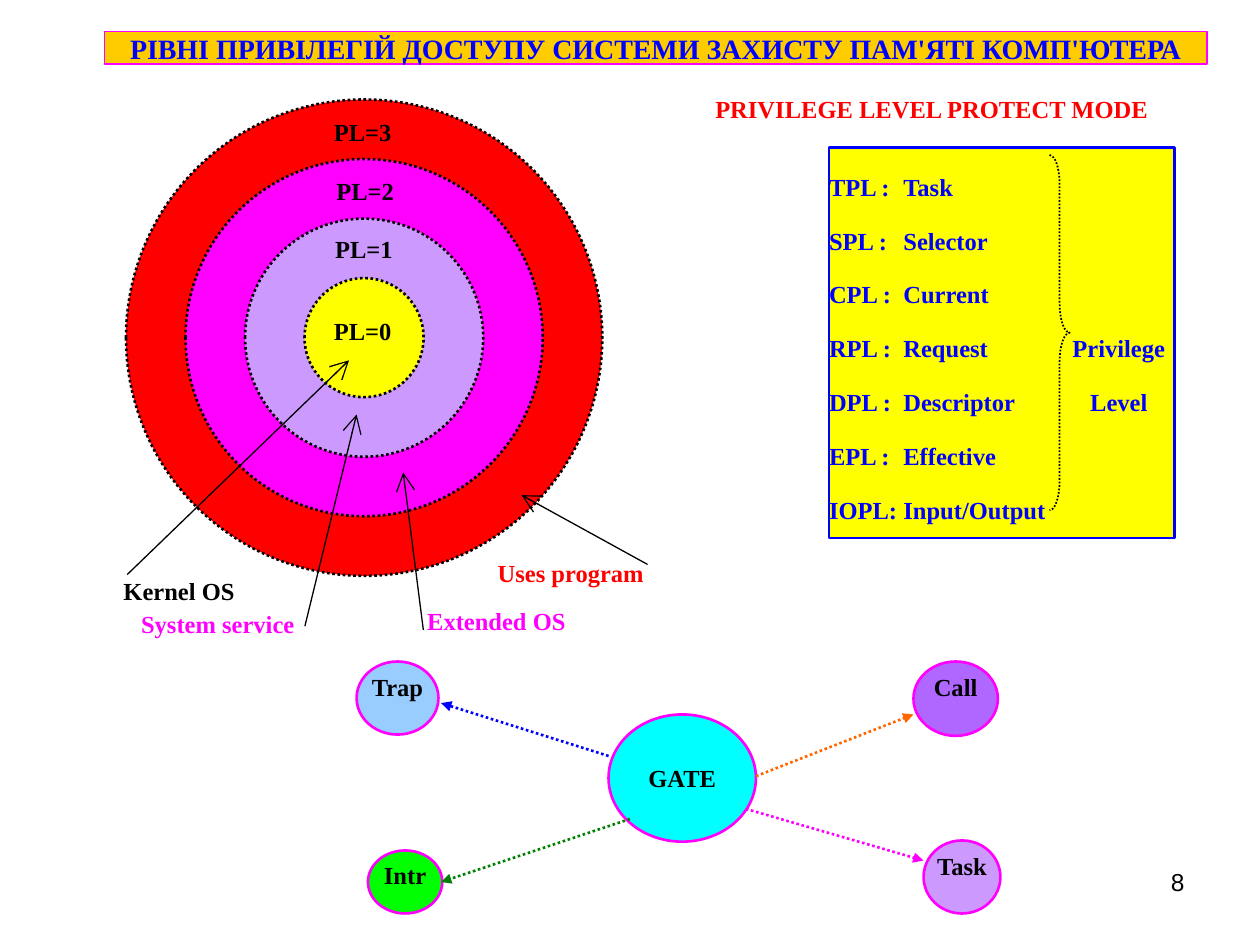
from pptx import Presentation
from pptx.dml.color import RGBColor
from pptx.enum.dml import MSO_LINE
from pptx.enum.shapes import MSO_CONNECTOR, MSO_SHAPE
from pptx.enum.text import MSO_ANCHOR, PP_ALIGN
from pptx.oxml.ns import qn
from pptx.util import Inches, Pt
from lxml.etree import SubElement

INK = {
    "black": "000000", "red": "FF0000", "blue": "0000FF", "pink": "FF00FF",
    "yellow": "FFFF00", "gold": "FFCC00", "lilac": "CC99FF", "violet": "AF67FF",
    "cyan": "00FFFF", "lime": "00FF00", "sky": "99CCFF", "orange": "FF6600",
    "green": "008000",
}
SERIF = "Times New Roman"

# Content
TITLE = "РІВНІ ПРИВІЛЕГІЙ ДОСТУПУ СИСТЕМИ ЗАХИСТУ ПАМ'ЯТІ КОМП'ЮТЕРА"
HEAD = "PRIVILEGE LEVEL PROTECT MODE"
LEVELS = [  # code, name, word beside the brace
    ("TPL :", "Task", ""), ("SPL :", "Selector", ""), ("CPL :", "Current", ""),
    ("RPL :", "Request", "Privilege"), ("DPL :", "Descriptor", "Level"),
    ("EPL :", "Effective", ""), ("IOPL:", "Input/Output", ""),
]
RINGS = [  # label, fill, label left and top; outermost first
    ("PL=3", "red", 2.65, 0.93), ("PL=2", "pink", 2.67, 1.4),
    ("PL=1", "lilac", 2.66, 1.86), ("PL=0", "yellow", 2.65, 2.51),
]
NOTES = [  # text, colour, text box, pointer start and tip
    ("Extended OS", "pink", (3.39, 4.81, 1.12, 0.25), (3.36, 5), (3.2, 3.75)),
    ("System service", "pink", (1.12, 4.83, 1.23, 0.25), (2.42, 4.97), (2.83, 3.29)),
    ("Kernel OS", "black", (0.98, 4.57, 0.92, 0.25), (1.01, 4.56), (2.77, 2.86)),
    ("Uses program", "red", (3.95, 4.43, 1.23, 0.25), (5.14, 4.48), (4.14, 3.93)),
]
GATES = [  # text, fill, oval, arrow colour, arrow start and tip
    ("Call", "violet", (7.25, 5.25, 0.67, 0.59), "orange", (6, 6.16), (7.25, 5.67)),
    ("Task", "lilac", (7.33, 6.67, 0.61, 0.58), "pink", (5.92, 6.42), (7.33, 6.83)),
    ("Intr", "lime", (2.92, 6.75, 0.59, 0.5), "green", (5, 6.5), (3.5, 7)),
    ("Trap", "sky", (2.83, 5.25, 0.65, 0.58), "blue", (4.83, 6), (3.5, 5.58)),
]

deck = Presentation()
deck.slide_width, deck.slide_height = Inches(10), Inches(7.5)
slide = deck.slides.add_slide(deck.slide_layouts[6])
shapes = slide.shapes


def rgb(name):
    return RGBColor.from_string(INK[name])


def style(line, color, width, dots=False):
    line.color.rgb = rgb(color)
    line.width = Pt(width)
    if dots:
        line.dash_style = MSO_LINE.ROUND_DOT


def shape(kind, box, fill=None, line=None, width=1.5, dots=False):
    item = shapes.add_shape(kind, *map(Inches, box))
    item.shadow.inherit = False
    if fill:
        item.fill.solid()
        item.fill.fore_color.rgb = rgb(fill)
    else:
        item.fill.background()
    if line:
        style(item.line, line, width, dots)
    else:
        item.line.fill.background()
    return item


def text_box(box):
    return shapes.add_textbox(*map(Inches, box))


def write(item, lines, color="black", size=14, align=PP_ALIGN.LEFT,
          anchor=MSO_ANCHOR.TOP, space=None, stops=(), pad=(0, 0), font=SERIF):
    frame = item.text_frame
    frame.word_wrap = True
    frame.vertical_anchor = anchor
    frame.margin_left = frame.margin_right = Inches(pad[0])
    frame.margin_top = frame.margin_bottom = Inches(pad[1])
    for i, line in enumerate(lines):
        para = frame.add_paragraph() if i else frame.paragraphs[0]
        para.alignment = align
        if space:
            para.line_spacing = space
        if stops:
            tabs = SubElement(para._p.get_or_add_pPr(), qn("a:tabLst"))
            for pos, side in stops:
                SubElement(tabs, qn("a:tab"), pos=str(Inches(pos)), algn=side)
        run = para.add_run()
        run.text = line
        run.font.name, run.font.size = font, Pt(size)
        run.font.bold = font == SERIF
        run.font.color.rgb = rgb(color)


def arrow(start, tip, color, width, head, size, dots=False):
    item = shapes.add_connector(MSO_CONNECTOR.STRAIGHT, *map(Inches, start + tip))
    style(item.line, color, width, dots)
    SubElement(item.line._get_or_add_ln(), qn("a:tailEnd"), type=head, w=size, len=size)
    SubElement(item._element.spPr, qn("a:effectLst"))


# Privilege level list with its brace
write(text_box((5.42, 0.75, 3.95, 0.27)), [HEAD], "red", align=PP_ALIGN.CENTER, pad=(0, 0))
rows = [f"{code}\t{name}" + (f"\t{word}" if word else "") for code, name, word in LEVELS]
panel = shape(MSO_SHAPE.RECTANGLE, (6.58, 1.17, 2.74, 3.1), "yellow", "blue")
write(panel, rows, "blue", space=1.83, stops=[(0.59, "l"), (2.3, "ctr")])
brace = shape(MSO_SHAPE.RIGHT_BRACE, (8.33, 1.23, 0.16, 2.82), None, "black", 1, True)
brace.adjustments[0] = 1.47

# Concentric protection rings
MID_X, MID_Y, STEP = 2.89, 2.68, 0.945
for i, (label, fill, left, top) in enumerate(RINGS):
    size = STEP * (len(RINGS) - i)
    shape(MSO_SHAPE.OVAL, (MID_X - size / 2, MID_Y - size / 2, size, size),
          fill, "black", dots=True)
    write(shape(MSO_SHAPE.RECTANGLE, (left, top, 0.47, 0.24), fill), [label])

# Ring captions and pointers
for text, color, box, start, tip in NOTES:
    arrow(start, tip, "black", 0.75, "arrow", "lg")
    write(text_box(box), [text], color)

# Gate and its four kinds
hub = shape(MSO_SHAPE.OVAL, (4.83, 5.67, 1.17, 1.01), "cyan", "pink")
write(hub, ["GATE"], align=PP_ALIGN.CENTER, anchor=MSO_ANCHOR.MIDDLE)
for text, fill, box, color, start, tip in GATES:
    write(shape(MSO_SHAPE.OVAL, box, fill, "pink"), [text], align=PP_ALIGN.CENTER)
    arrow(start, tip, color, 1.5, "triangle", "med", True)

# Title and slide number
banner = shape(MSO_SHAPE.RECTANGLE, (0.83, 0.25, 8.75, 0.26), "gold", "pink", 0.75)
write(banner, [TITLE], "blue", 16, PP_ALIGN.CENTER)
write(text_box((7.17, 6.83, 2.33, 0.52)), ["8"], align=PP_ALIGN.RIGHT,
      pad=(0.1, 0.05), font="Arial")

deck.save("out.pptx")
